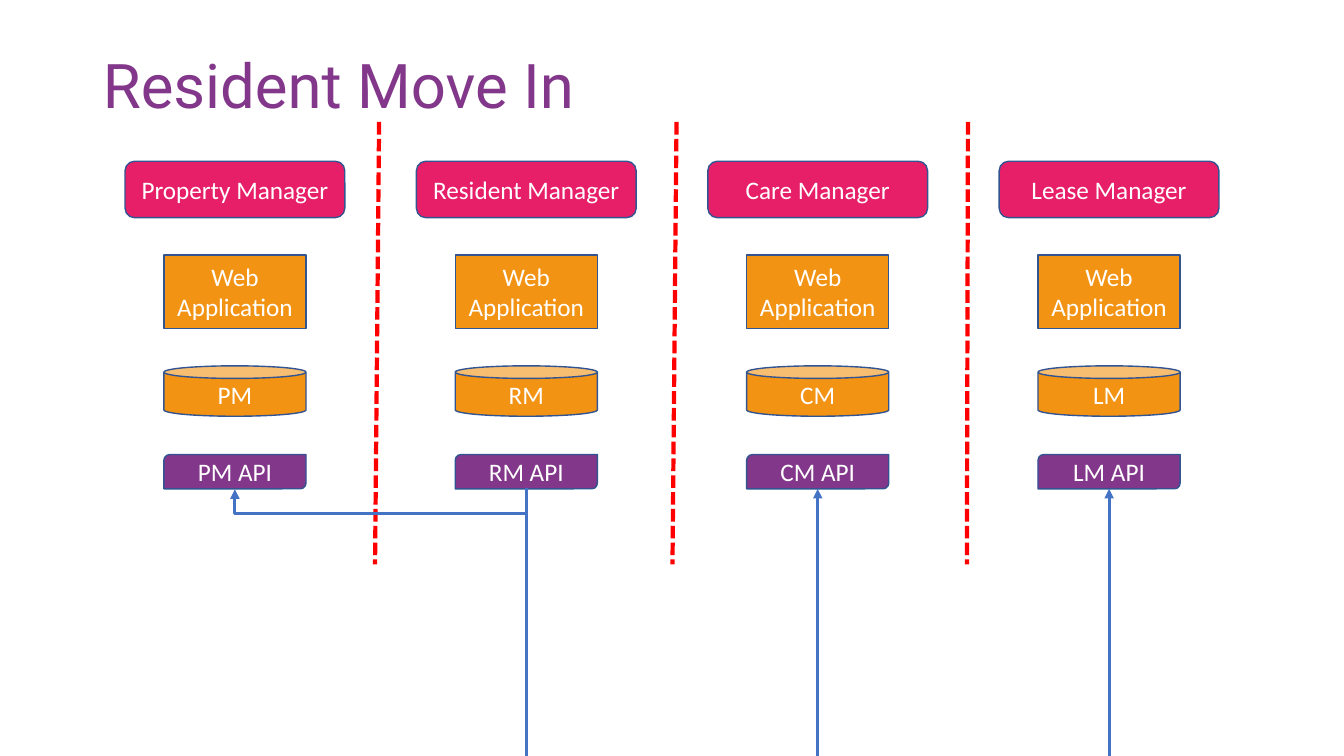
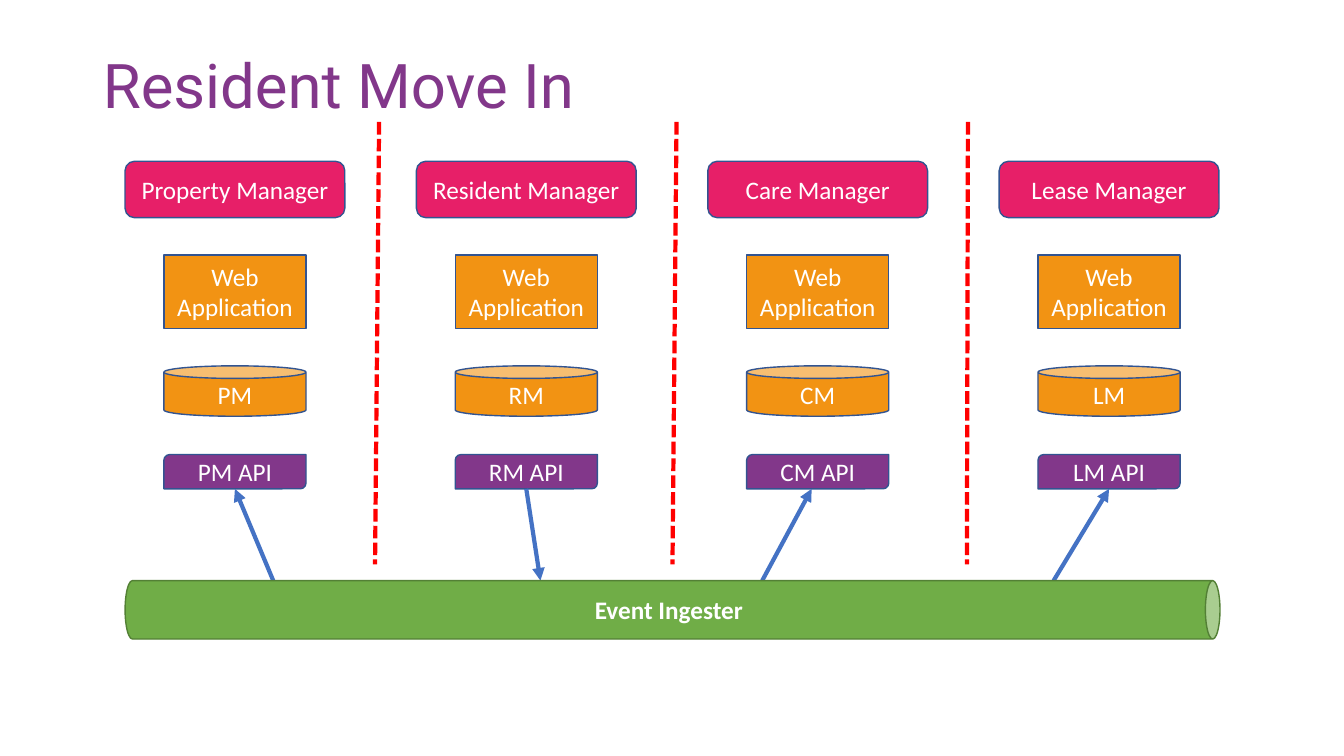
"""Build two slides on the resident move-in flow between four managers."""
from dataclasses import dataclass

from lxml import etree
from pptx import Presentation
from pptx.dml.color import RGBColor
from pptx.enum import dml, shapes, text
from pptx.oxml import ns
from pptx.util import Inches, Pt

PURPLE = RGBColor(0x82, 0x37, 0x8A)
PINK = RGBColor(0xE7, 0x1F, 0x68)
ORANGE = RGBColor(0xF2, 0x93, 0x13)
GREEN = RGBColor(0x70, 0xAD, 0x47)
DARK_GREEN = RGBColor(0x53, 0x80, 0x35)
NAVY = RGBColor(0x32, 0x54, 0x91)
BLUE = RGBColor(0x44, 0x72, 0xC4)
RED = RGBColor(0xFF, 0x00, 0x00)
WHITE = RGBColor(0xFF, 0xFF, 0xFF)

SLIDE_W, SLIDE_H = 13.33, 7.5
FIRST_CENTER, PITCH = 2.33, 2.89
API_BOTTOM, BUS_TOP = 4.85, 5.76
SHAPE = shapes.MSO_SHAPE


@dataclass(frozen=True)
class Manager:
    name: str
    code: str


@dataclass(frozen=True)
class Layer:
    label: str
    kind: SHAPE
    top: float
    width: float
    height: float
    fill: RGBColor


@dataclass(frozen=True)
class Line:
    x1: float
    y1: float
    x2: float
    y2: float
    color: RGBColor = BLUE
    width: float = 3
    arrow: bool = True
    dashed: bool = False


MANAGERS = [
    Manager("Property Manager", "PM"),
    Manager("Resident Manager", "RM"),
    Manager("Care Manager", "CM"),
    Manager("Lease Manager", "LM"),
]
LAYERS = [
    Layer("{0.name}", SHAPE.ROUNDED_RECTANGLE, 1.6, 2.18, 0.56, PINK),
    Layer("Web Application", SHAPE.RECTANGLE, 2.53, 1.41, 0.73, ORANGE),
    Layer("{0.code}", SHAPE.CAN, 3.63, 1.41, 0.5, ORANGE),
    Layer("{0.code} API", SHAPE.ROUND_2_DIAG_RECTANGLE, 4.51, 1.41, 0.34, PURPLE),
]
CENTERS = [FIRST_CENTER + i * PITCH for i in range(len(MANAGERS))]
PM_X, RM_X, CM_X, LM_X = CENTERS
DIVIDERS = [
    Line(x1, 1.21, x2, 5.6, RED, arrow=False, dashed=True)
    for x1, x2 in [(3.76, 3.72), (6.71, 6.67), (9.6, 9.59)]
]
DIRECT_CALLS = [
    Line(RM_X, API_BOTTOM, RM_X, SLIDE_H, width=2.25, arrow=False),
    Line(CM_X, SLIDE_H, CM_X, API_BOTTOM, width=2.25),
    Line(LM_X, SLIDE_H, LM_X, API_BOTTOM, width=2.25),
]
BUS_EVENTS = [
    Line(RM_X, API_BOTTOM, 5.36, BUS_TOP),
    Line(7.56, BUS_TOP, 8.05, API_BOTTOM),
    Line(10.45, BUS_TOP, LM_X, API_BOTTOM),
    Line(2.71, BUS_TOP, PM_X, API_BOTTOM),
]


def add_box(slide, kind: SHAPE, box: tuple, label: str, fill: RGBColor,
            outline: RGBColor = NAVY, bold: bool = False):
    sp = slide.shapes.add_shape(kind, *map(Inches, box))
    sp.shadow.inherit = False
    sp.fill.solid()
    sp.fill.fore_color.rgb = fill
    sp.line.color.rgb = outline
    sp.line.width = Pt(1)
    tf = sp.text_frame
    tf.word_wrap = True
    tf.vertical_anchor = text.MSO_ANCHOR.MIDDLE
    p = tf.paragraphs[0]
    p.alignment = text.PP_ALIGN.CENTER
    r = p.add_run()
    r.text = label
    r.font.name = "Calibri"
    r.font.size = Pt(18)
    r.font.bold = bold
    r.font.color.rgb = WHITE
    return sp


def add_line(slide, line: Line, kind=shapes.MSO_CONNECTOR.STRAIGHT):
    ends = map(Inches, (line.x1, line.y1, line.x2, line.y2))
    sp = slide.shapes.add_connector(kind, *ends)
    sp.line.color.rgb = line.color
    sp.line.width = Pt(line.width)
    if line.dashed:
        sp.line.dash_style = dml.MSO_LINE.SQUARE_DOT
    pr = sp.element.spPr
    if line.arrow:
        etree.SubElement(pr.find(ns.qn("a:ln")), ns.qn("a:tailEnd"), type="triangle")
    etree.SubElement(pr, ns.qn("a:effectLst"))
    return sp


def add_return_call(slide) -> None:
    mid_x, rise, drop = (PM_X + RM_X) / 2, 0.01, 0.25
    top = API_BOTTOM - PITCH / 2
    line = Line(mid_x - rise / 2, top, mid_x + rise / 2, top + PITCH, width=2.25)
    pr = add_line(slide, line, shapes.MSO_CONNECTOR.ELBOW).element.spPr
    pr.find(ns.qn("a:xfrm")).set("rot", str(90 * 60000))
    geometry = pr.find(ns.qn("a:prstGeom"))
    adjustments = geometry.find(ns.qn("a:avLst"))
    if adjustments is None:
        adjustments = etree.SubElement(geometry, ns.qn("a:avLst"))
    etree.SubElement(adjustments, ns.qn("a:gd"), name="adj1",
                     fmla=f"val {round(drop / rise * 100000)}")


def add_event_bus(slide) -> None:
    sp = add_box(slide, SHAPE.CAN, (6.38, 0.62, 0.58, 10.86), "Event Ingester",
                 GREEN, DARK_GREEN, bold=True)
    sp.rotation = 90
    sp.text_frame._txBody.find(ns.qn("a:bodyPr")).set("vert", "vert270")


def add_flow_slide(prs, lines: list[Line]):
    slide = prs.slides.add_slide(prs.slide_layouts[5])
    title = slide.shapes.title
    title.left, title.top, title.width, title.height = map(
        Inches, (0.92, 0.15, 11.5, 1.45))
    tf = title.text_frame
    tf.vertical_anchor = text.MSO_ANCHOR.MIDDLE
    p = tf.paragraphs[0]
    p.alignment = text.PP_ALIGN.LEFT
    p.line_spacing = 0.9
    r = p.add_run()
    r.text = "Resident Move In"
    r.font.name = "Roboto"
    r.font.size = Pt(44)
    r.font.color.rgb = PURPLE
    for layer in LAYERS:
        for center, manager in zip(CENTERS, MANAGERS):
            box = (center - layer.width / 2, layer.top, layer.width, layer.height)
            add_box(slide, layer.kind, box, layer.label.format(manager), layer.fill)
    for line in DIVIDERS + lines:
        add_line(slide, line)
    return slide


def main() -> None:
    prs = Presentation()
    prs.slide_width, prs.slide_height = Inches(SLIDE_W), Inches(SLIDE_H)
    add_return_call(add_flow_slide(prs, DIRECT_CALLS))
    add_event_bus(add_flow_slide(prs, BUS_EVENTS))
    prs.save("out.pptx")


if __name__ == "__main__":
    main()
